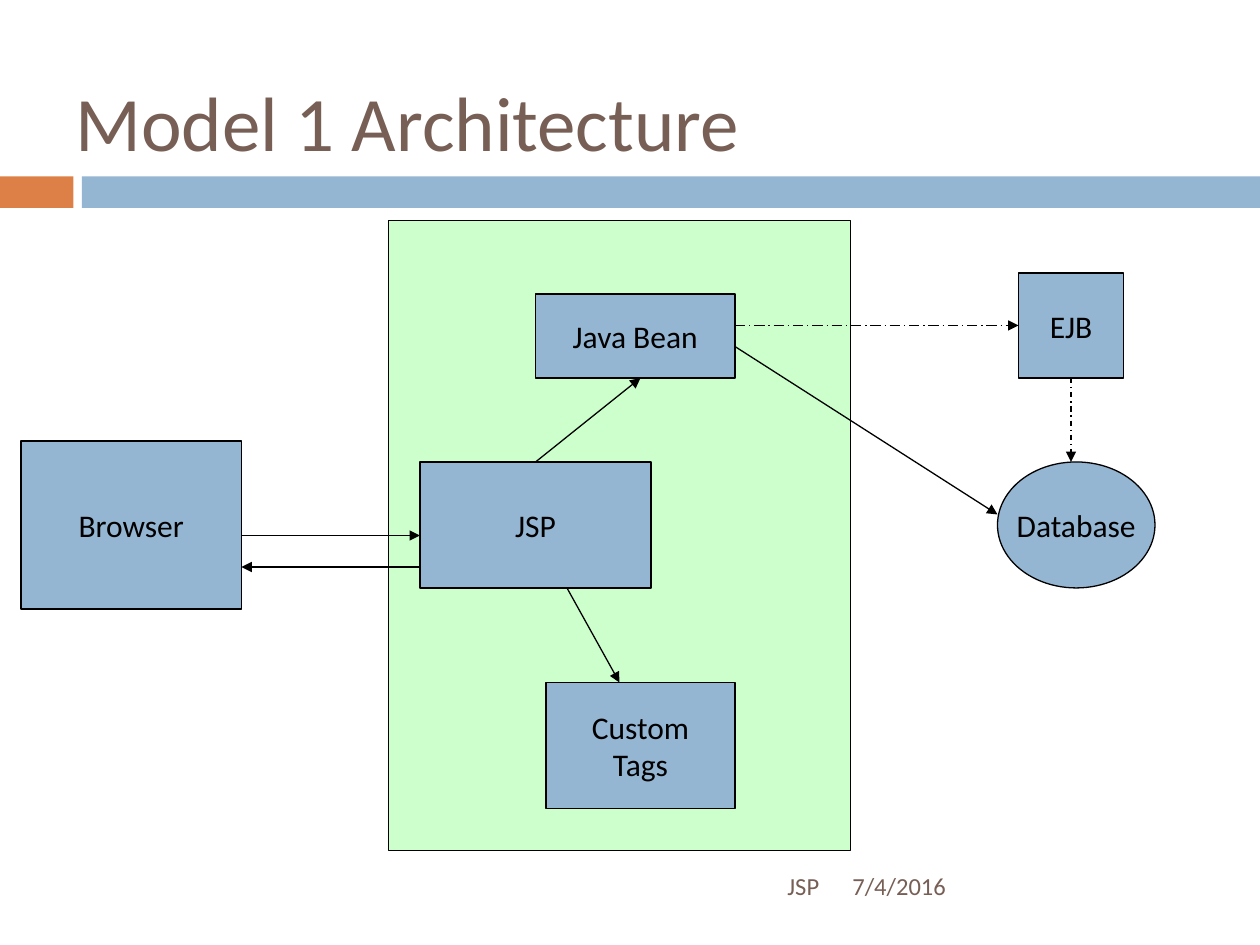
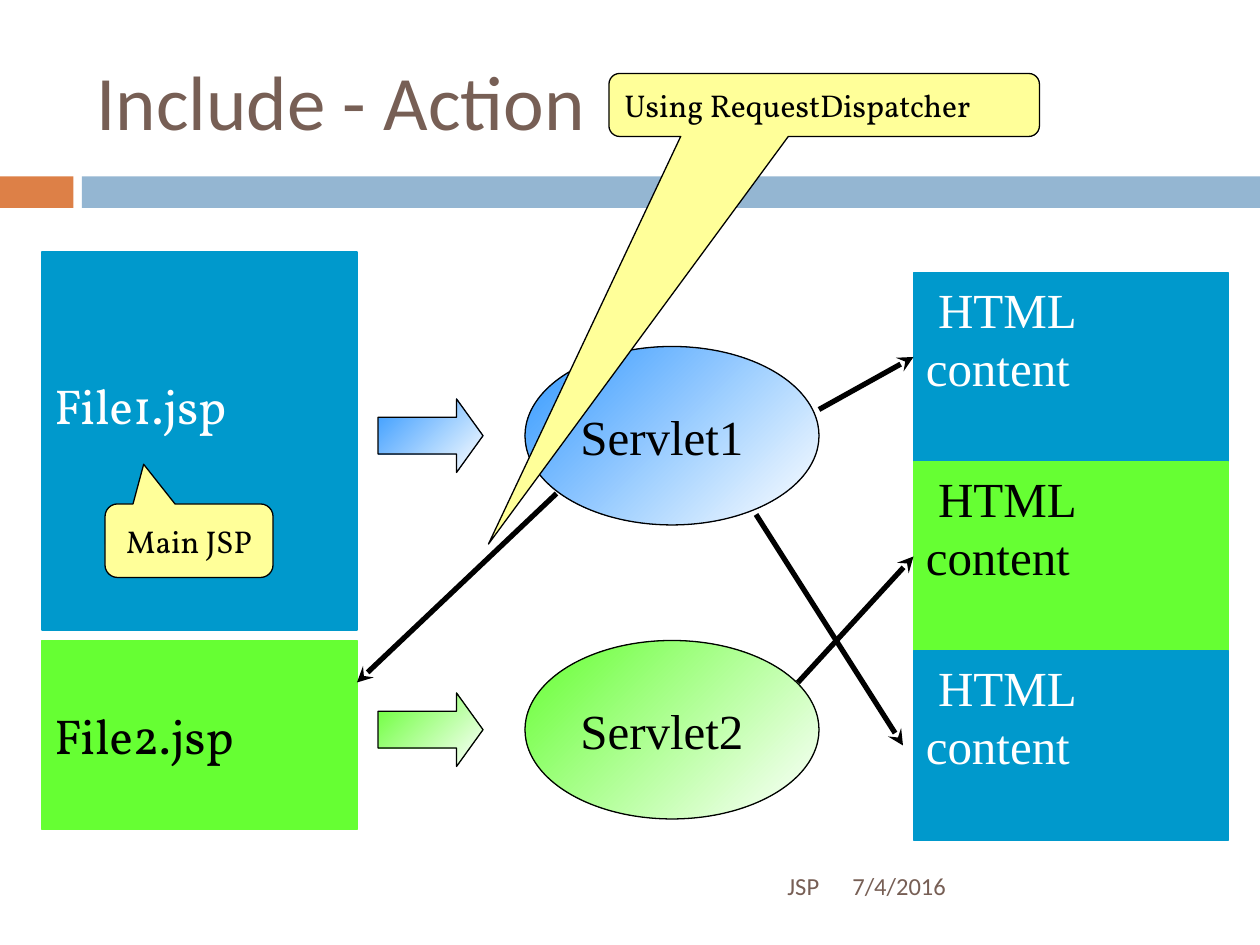
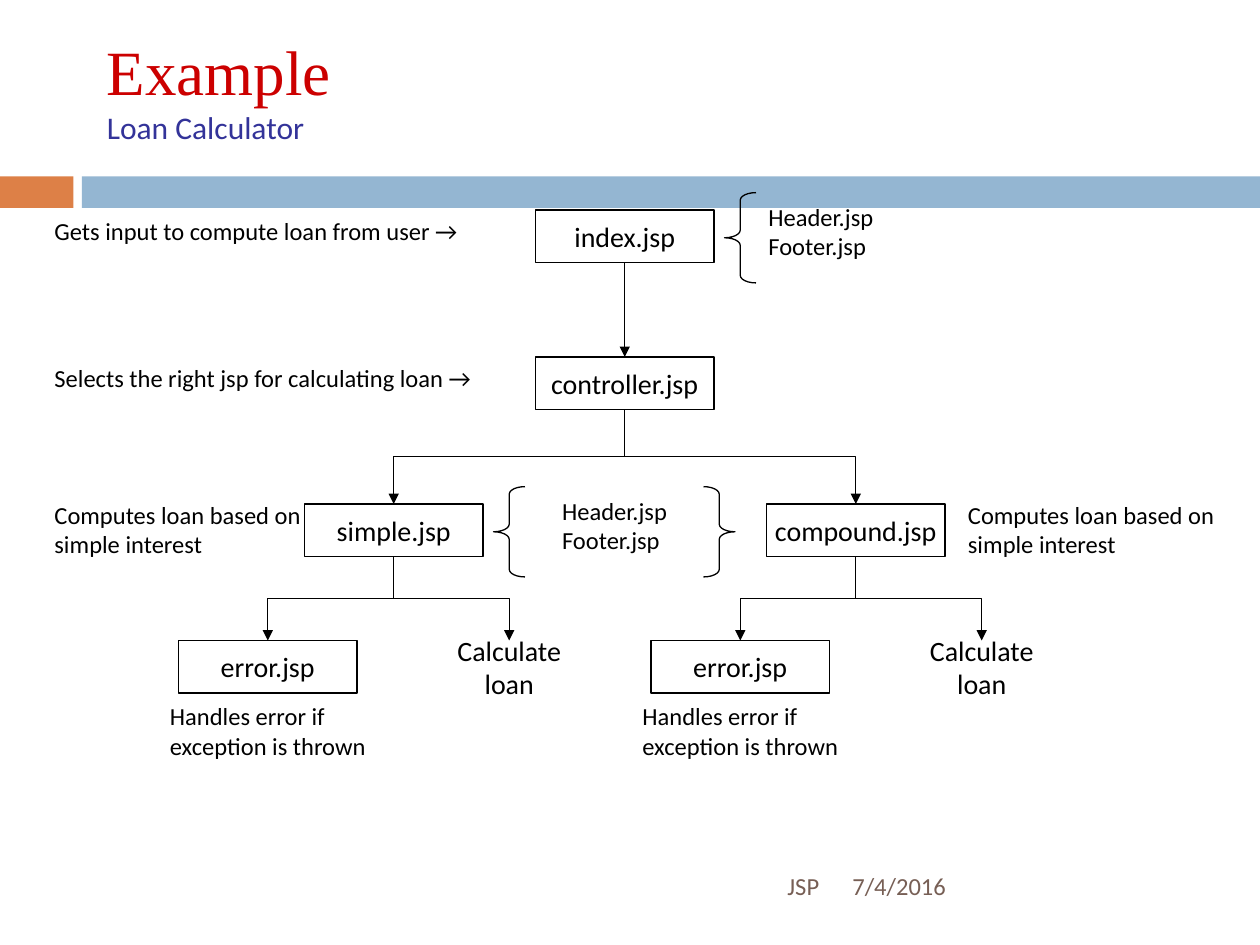
from dataclasses import dataclass

from lxml.etree import SubElement
from pptx import Presentation
from pptx.dml.color import RGBColor
from pptx.enum.dml import MSO_LINE as Dash
from pptx.enum.shapes import MSO_CONNECTOR as Link, MSO_SHAPE as Preset
from pptx.enum.text import MSO_ANCHOR as Anchor, PP_ALIGN as Align
from pptx.oxml.ns import qn
from pptx.util import Inches, Pt

COLUMNS, ROWS = 120, 90
NODE_W, NODE_H = 17, 5


@dataclass(frozen=True)
class Theme:
    brown: str = "775F55"
    orange: str = "DD8047"
    steel: str = "94B6D2"
    mint: str = "CCFFCC"
    ocean: str = "0099CC"
    lime: str = "66FF33"
    sky: str = "3399FF"
    note: str = "FFFF99"
    red: str = "CC0000"
    navy: str = "333399"
    black: str = "000000"
    white: str = "FFFFFF"
    sans: str = "Calibri"
    serif: str = "Times New Roman"
    book: str = "Vollkorn"
    title: int = 44
    heading: int = 36
    large: int = 28
    body: int = 18
    node: int = 16
    small: int = 14
    thin: float = 0.75
    thick: float = 3


class Deck:
    """Draws on the current slide; places are (column, row, columns, rows)."""

    def __init__(self, theme):
        self.theme = theme
        self.file = Presentation()
        self.file.slide_width, self.file.slide_height = Inches(10), Inches(7.5)
        self.slide = None

    def x(self, column):
        return round(self.file.slide_width * column / COLUMNS)

    def y(self, row):
        return round(self.file.slide_height * row / ROWS)

    def place(self, column, row, width, height):
        return self.x(column), self.y(row), self.x(width), self.y(height)

    def new_slide(self):
        t = self.theme
        self.slide = self.file.slides.add_slide(self.file.slide_layouts[6])
        self.shape((0, 16.8, 7, 3), t.orange, line=None)
        self.shape((7.8, 16.8, 112.2, 3), t.steel, line=None)
        for caption, place, align in (("7/4/2016", (80, 82, 35, 4.8), Align.LEFT),
                                      ("JSP", (8, 82, 71.2, 4.8), Align.RIGHT)):
            self.label(caption, place, color=t.brown, align=align, anchor=Anchor.MIDDLE)

    def style(self, run, size, color, font):
        run.font.size, run.font.name = Pt(size), font
        run.font.color.rgb = RGBColor.from_string(color)

    def set_text(self, shape, text, size, color, font, align, anchor):
        """Centred text may overrun its shape; other text wraps inside it."""
        frame = shape.text_frame
        frame.text = text
        frame.word_wrap = align != Align.CENTER
        frame.vertical_anchor = anchor
        for paragraph in frame.paragraphs:
            paragraph.alignment = align
            for run in paragraph.runs:
                self.style(run, size, color, font)

    def label(self, text, place, size=None, color=None, align=Align.LEFT, anchor=Anchor.TOP):
        t = self.theme
        box = self.slide.shapes.add_textbox(*self.place(*place))
        self.set_text(box, text, size or t.small, color or t.black, t.sans, align, anchor)
        return box

    def title(self, text, place):
        return self.label(text, place, self.theme.title, self.theme.brown, anchor=Anchor.MIDDLE)

    def shape(self, place, fill=None, text="", preset=Preset.RECTANGLE, line=Theme.black,
              size=Theme.body, color=Theme.black, font=Theme.sans, align=Align.CENTER,
              anchor=Anchor.MIDDLE, adjust=(), fade=False):
        shape = self.slide.shapes.add_shape(preset, *self.place(*place))
        shape.shadow.inherit = False
        for i, value in enumerate(adjust):
            shape.adjustments[i] = value
        if fade:
            shape.fill.gradient()
            shape.fill.gradient_angle = 315
            for stop, shade in zip(shape.fill.gradient_stops, (fill, self.theme.white)):
                stop.color.rgb = RGBColor.from_string(shade)
        elif fill:
            shape.fill.solid()
            shape.fill.fore_color.rgb = RGBColor.from_string(fill)
        else:
            shape.fill.background()
        if line:
            shape.line.width = Pt(self.theme.thin)
            shape.line.color.rgb = RGBColor.from_string(line)
        else:
            shape.line.fill.background()
        if text:
            self.set_text(shape, text, size, color, font, align, anchor)
        return shape

    def callout(self, text, place, adjust, align):
        self.shape(place, self.theme.note, text, Preset.ROUNDED_RECTANGULAR_CALLOUT,
                   font=self.theme.book, align=align, adjust=adjust)

    def brace(self, column, row):
        return self.shape((column, row, 3, 8.6), preset=Preset.LEFT_BRACE, adjust=(0.24, 0.5))

    def arrow(self, start, end, width=Theme.thin, dash=None, head="triangle", kind=Link.STRAIGHT):
        arrow = self.slide.shapes.add_connector(
            kind, self.x(start[0]), self.y(start[1]), self.x(end[0]), self.y(end[1]))
        arrow.line.width = Pt(width)
        arrow.line.color.rgb = RGBColor.from_string(self.theme.black)
        if dash:
            arrow.line.dash_style = dash
        properties = arrow._element.spPr
        SubElement(properties.find(qn("a:ln")), qn("a:tailEnd"), type=head)
        SubElement(properties, qn("a:effectLst"))
        return arrow

    def branch(self, parent, child):
        """Joins two tree nodes, given by their corners, down from parent to child."""
        x1, y1 = parent[0] + NODE_W / 2, parent[1] + NODE_H
        x2, y2 = child[0] + NODE_W / 2, child[1]
        if x1 == x2:
            self.arrow((x1, y1), (x2, y2))
            return
        # An elbow leaves sideways, so it is laid flat and then turned upright.
        reach, drop = abs(x2 - x1) / 2, (y2 - y1) / 2
        mid_x, mid_y = (x1 + x2) / 2, (y1 + y2) / 2
        side = -1 if x2 < x1 else 1
        elbow = self.arrow((mid_x + side * drop, mid_y - reach),
                           (mid_x - side * drop, mid_y + reach), kind=Link.ELBOW)
        elbow._element.spPr.find(qn("a:xfrm")).set("rot", "5400000" if side < 0 else "16200000")


def model_slide(deck):
    t = deck.theme
    deck.new_slide()
    deck.title("Model 1 Architecture", (6, 4, 108, 15))
    deck.shape((37, 21, 44, 60), t.mint)
    for name, place in (("Browser", (2, 42, 21, 16)), ("JSP", (40, 44, 22, 12)),
                        ("Java Bean", (51, 28, 19, 8)), ("Custom\nTags", (52, 65, 18, 12)),
                        ("EJB", (97, 26, 10, 10))):
        deck.shape(place, t.steel, name)
    deck.shape((95, 44, 15, 12), t.steel, "Database", Preset.OVAL)
    for start, end, dash in (((23, 51), (40, 51), None), ((51, 44), (61, 36), None),
                             ((54, 56), (59, 65), None), ((40, 54), (23, 54), None),
                             ((70, 33), (95, 49), None),
                             ((70, 31), (97, 31), Dash.LONG_DASH_DOT),
                             ((102, 36), (102, 44), Dash.DASH_DOT)):
        deck.arrow(start, end, dash=dash)


def include_slide(deck):
    t = deck.theme
    deck.new_slide()
    deck.title("Include - Action", (8, 3, 107, 13))

    def panel(column, row, fill, text="", font=t.book, anchor=Anchor.MIDDLE):
        deck.shape((column, row, 30, 18), fill, text, line=fill, size=t.large, font=font,
                   color=t.white if fill == t.ocean else t.black,
                   align=Align.LEFT, anchor=anchor)

    panel(4, 24, t.ocean, "File1.jsp", anchor=Anchor.BOTTOM)
    panel(4, 42, t.ocean)
    panel(4, 61, t.lime, "File2.jsp")
    for servlet, row, fill in (("Servlet1", 33, t.sky), ("Servlet2", 61, t.lime)):
        deck.shape((50, row, 28, 17), fill, servlet, Preset.OVAL, size=t.large,
                   font=t.serif, align=Align.LEFT, fade=True)
        deck.shape((36, row + 5, 10, 7), fill, preset=Preset.RIGHT_ARROW,
                   adjust=(0.5, 0.36), fade=True)
    for i, fill in enumerate((t.ocean, t.lime, t.ocean)):
        panel(87, 26 + 18 * i, fill, " HTML\ncontent", t.serif, Anchor.TOP)
    for start, end in (((78, 39), (87, 34)), ((76, 65), (87, 53)),
                       ((72, 49), (86, 71)), ((53, 47), (34, 65))):
        deck.arrow(start, end, t.thick, head="stealth")
    deck.callout("Using RequestDispatcher", (58, 7, 41, 6), (-0.78, 6.97, 0.17), Align.LEFT)
    deck.callout("Main JSP", (10, 48, 16, 7), (-0.27, -1.04, 0.17), Align.CENTER)


def loan_slide(deck):
    t = deck.theme
    deck.new_slide()
    heading = deck.label("Example\vLoan Calculator", (9, 1, 102, 15), t.body, t.navy,
                         anchor=Anchor.MIDDLE)
    deck.style(heading.text_frame.paragraphs[0].runs[0], t.heading, t.red, t.serif)

    index, controller, simple, compound = (51, 20), (51, 34), (29, 48), (73, 48)
    errors, results = ((17, 61), (62, 61)), ((40, 61), (85, 61))
    pages = [("index.jsp", index), ("controller.jsp", controller), ("simple.jsp", simple),
             ("compound.jsp", compound)] + [("error.jsp", corner) for corner in errors]
    for name, corner in pages:
        deck.shape((*corner, NODE_W, NODE_H), text=name, size=t.node)
    for corner in results:
        deck.label("Calculate loan", (*corner, NODE_W, NODE_H), t.node,
                   align=Align.CENTER, anchor=Anchor.MIDDLE)

    deck.branch(index, controller)
    for parent, error, result in zip((simple, compound), errors, results):
        deck.branch(controller, parent)
        deck.branch(parent, error)
        deck.branch(parent, result)

    deck.brace(69, 18.35)
    deck.brace(47, 46.35)
    deck.brace(67, 46.35)._element.spPr.find(qn("a:xfrm")).set("flipH", "1")
    for column, row in ((72, 18.6), (52.35, 46.65)):
        deck.label("Header.jsp\nFooter.jsp", (column, row, 13.7, 7.3))
    deck.label("Gets input to compute loan from user →", (4, 20, 46, 4))
    deck.label("Selects the right jsp for calculating loan →", (4, 34, 46, 4))
    for column in (4, 91):
        deck.label("Computes loan based on simple interest", (column, 47, 26, 6.8))
    for column in (15, 60):
        deck.label("Handles error if exception is thrown", (column, 66.2, 26, 6.8))


def main():
    deck = Deck(Theme())
    for build in (model_slide, include_slide, loan_slide):
        build(deck)
    deck.file.save("out.pptx")


if __name__ == "__main__":
    main()
